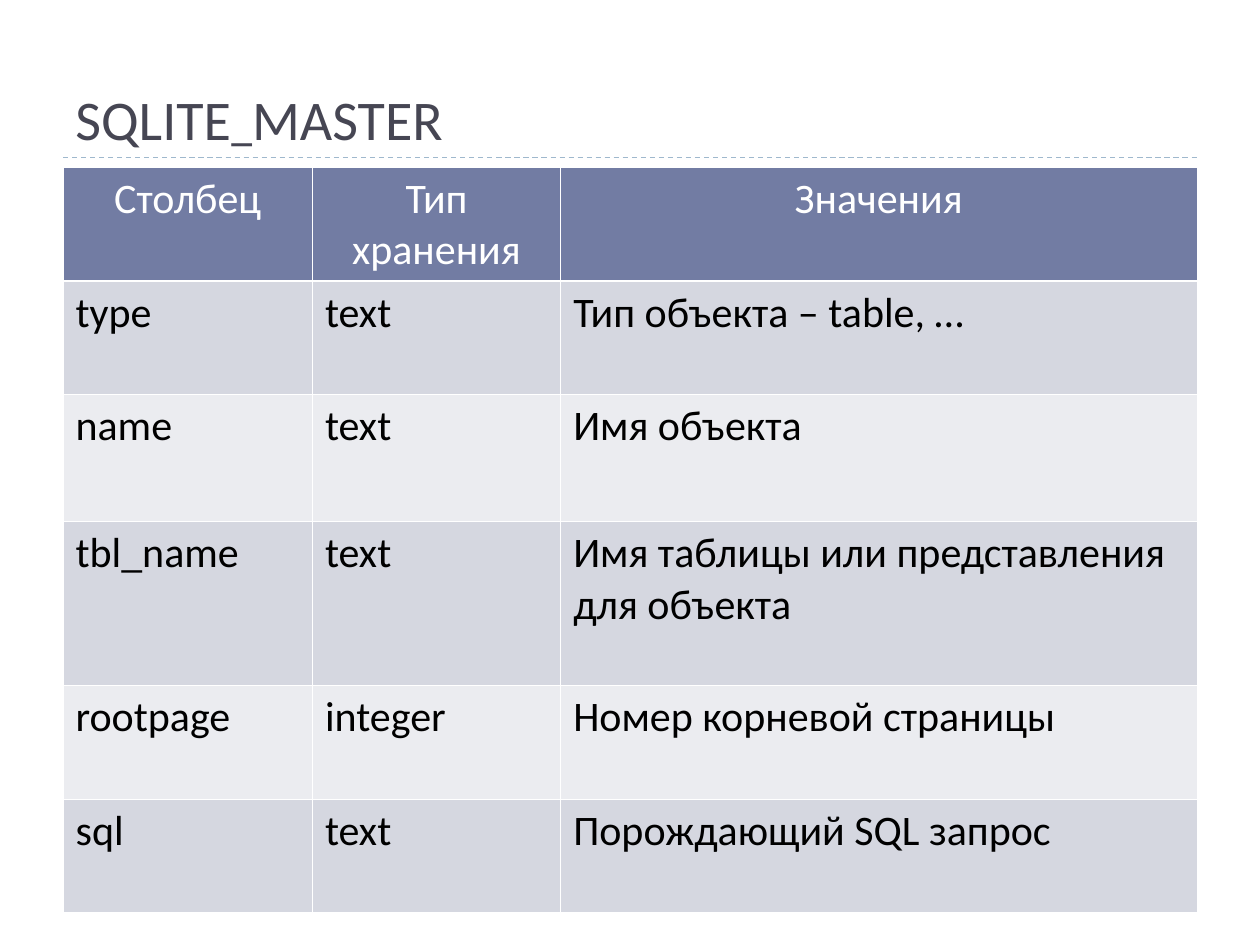
import pptx
import pptx.util
import pptx.oxml
import pptx.dml.color
import pptx.enum.dml
import pptx.enum.shapes
import pptx.enum.text
from lxml import etree

Inches, Pt = pptx.util.Inches, pptx.util.Pt
RGBColor = pptx.dml.color.RGBColor
Align = pptx.enum.text.PP_ALIGN

TITLE_INK = RGBColor(0x46, 0x46, 0x53)
ACCENT = RGBColor(0x9F, 0xB8, 0xCD)
HEADER_FILL = RGBColor(0x72, 0x7C, 0xA3)
BANDS = (RGBColor(0xEB, 0xEC, 0xF0), RGBColor(0xD5, 0xD7, 0xE0))
WHITE = RGBColor(0xFF, 0xFF, 0xFF)
BLACK = RGBColor(0, 0, 0)

WIDTH, HEIGHT = 10, 7.5
MARGIN = 0.05 * WIDTH
CONTENT_WIDTH = WIDTH - 2 * MARGIN

COLUMN_WIDTHS = (1.98, 1.97, 5.05)
ROW_HEIGHTS = (0.9, 0.9, 1.01, 1.3, 0.9, 0.9)
ROWS = (
    ("Столбец", "Тип хранения", "Значения"),
    ("type", "text", "Тип объекта – table, …"),
    ("name", "text", "Имя объекта"),
    ("tbl_name", "text", "Имя таблицы или представления для объекта"),
    ("rootpage", "integer", "Номер корневой страницы"),
    ("sql", "text", "Порождающий SQL запрос"),
)


def write(paragraph, text, *, size, color, font="Calibri", align=Align.LEFT):
    """Append one formatted run to a paragraph."""
    paragraph.alignment = align
    run = paragraph.add_run()
    run.text = text
    run.font.size = Pt(size)
    run.font.name = font
    run.font.color.rgb = color


def set_borders(cell, widths):
    """Draw white cell borders; widths run left, right, top, bottom."""
    properties = cell._tc.get_or_add_tcPr()
    for index, (side, width) in enumerate(zip("LRTB", widths)):
        border = pptx.oxml.parse_xml(
            '<a:ln%s xmlns:a="http://schemas.openxmlformats.org/drawingml/2006/main"'
            ' w="%d"><a:solidFill><a:srgbClr val="%s"/></a:solidFill></a:ln%s>'
            % (side, Pt(width), WHITE, side))
        properties.insert(index, border)


def add_title(slide, left, top, width, height):
    # Title text standing on a dashed rule
    title = slide.shapes.add_textbox(*map(Inches, (left, top, width, height)))
    frame = title.text_frame
    frame.word_wrap = True
    frame.vertical_anchor = pptx.enum.text.MSO_ANCHOR.BOTTOM
    for text, font in (("SQLITE", "Calibri"), ("_", "Cambria"), ("MASTER", "Calibri")):
        write(frame.paragraphs[0], text, size=32, color=TITLE_INK, font=font)

    bottom = top + height
    rule = slide.shapes.add_connector(
        pptx.enum.shapes.MSO_CONNECTOR.STRAIGHT,
        *map(Inches, (left, bottom, left + width, bottom)))
    rule.line.color.rgb = ACCENT
    rule.line.width = Pt(0.75)
    rule.line.dash_style = pptx.enum.dml.MSO_LINE.DASH
    etree.SubElement(rule._element.spPr, pptx.oxml.ns.qn("a:effectLst"))


def add_footer_marker(slide, left, top, width, height):
    # Small triangle pointing right at the footer
    marker = slide.shapes.add_shape(
        pptx.enum.shapes.MSO_SHAPE.ISOSCELES_TRIANGLE,
        *map(Inches, (left, top, width, height)))
    marker.rotation = 90
    marker.shadow.inherit = False
    marker.fill.solid()
    marker.fill.fore_color.rgb = ACCENT
    marker.line.fill.background()


def add_columns_table(slide, left, top, width, height):
    # Header row, then banded rows describing each column
    table = slide.shapes.add_table(
        len(ROWS), len(COLUMN_WIDTHS),
        *map(Inches, (left, top, width, height))).table
    for column, share in zip(table.columns, COLUMN_WIDTHS):
        column.width = Inches(width * share / sum(COLUMN_WIDTHS))
    for row, share in zip(table.rows, ROW_HEIGHTS):
        row.height = Inches(height * share / sum(ROW_HEIGHTS))

    for r, texts in enumerate(ROWS):
        header = r == 0
        top_line = 1.47 if r == 1 else 0.45
        bottom_line = 1.47 if header else 0.45
        for c, text in enumerate(texts):
            cell = table.cell(r, c)
            cell.fill.solid()
            cell.fill.fore_color.rgb = HEADER_FILL if header else BANDS[r % 2]
            set_borders(cell, (0.45, 0.45, top_line, bottom_line))
            write(cell.text_frame.paragraphs[0], text, size=24,
                  color=WHITE if header else BLACK,
                  align=Align.CENTER if header else Align.LEFT)


def main():
    deck = pptx.Presentation()
    deck.slide_width, deck.slide_height = Inches(WIDTH), Inches(HEIGHT)
    slide = deck.slides.add_slide(deck.slide_layouts[6])
    add_footer_marker(slide, 0.46, 7.07, 0.21, 0.13)
    add_title(slide, MARGIN, 0.17, CONTENT_WIDTH, 1.08)
    add_columns_table(slide, MARGIN, 1.33, CONTENT_WIDTH, sum(ROW_HEIGHTS))
    deck.save("out.pptx")


if __name__ == "__main__":
    main()
